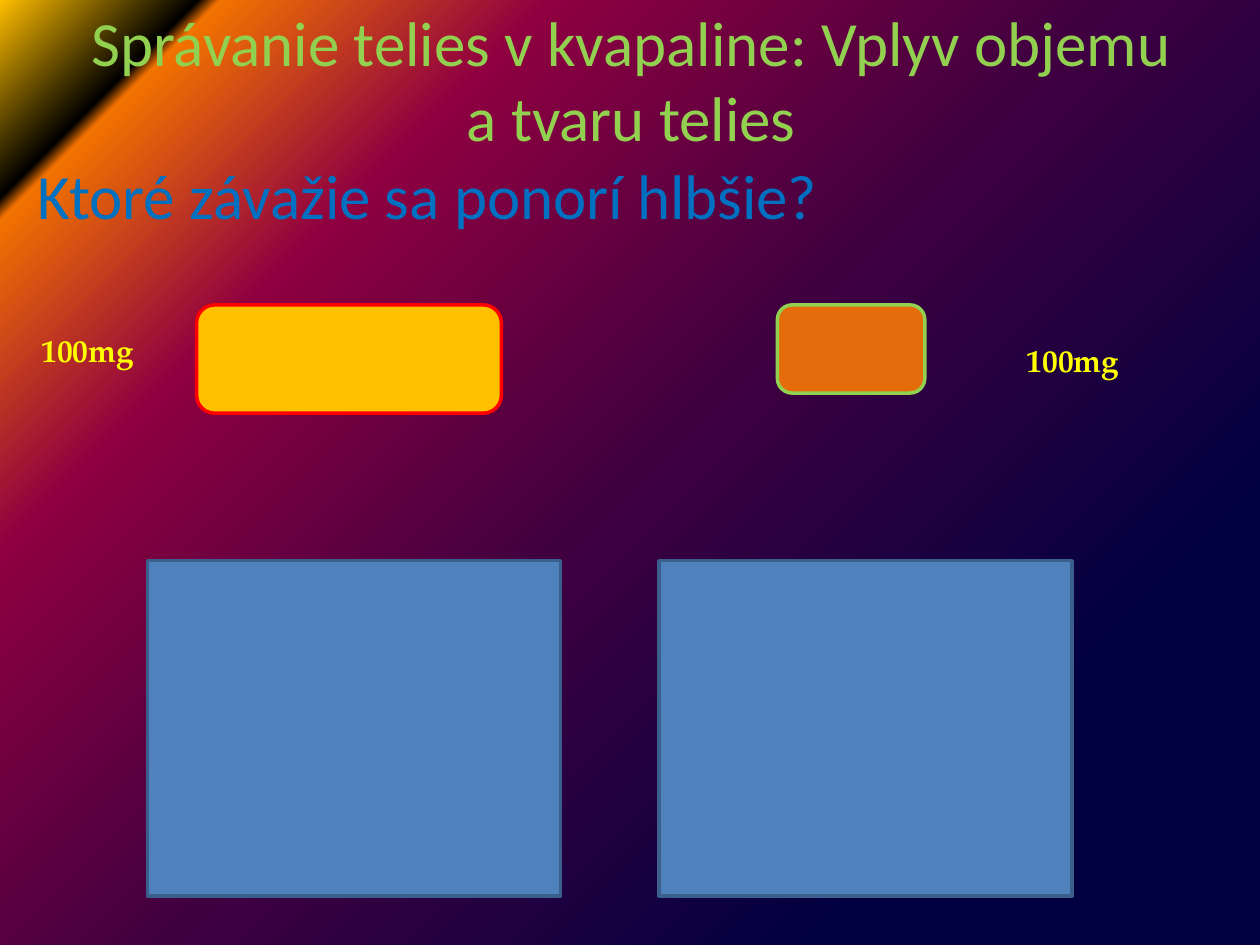
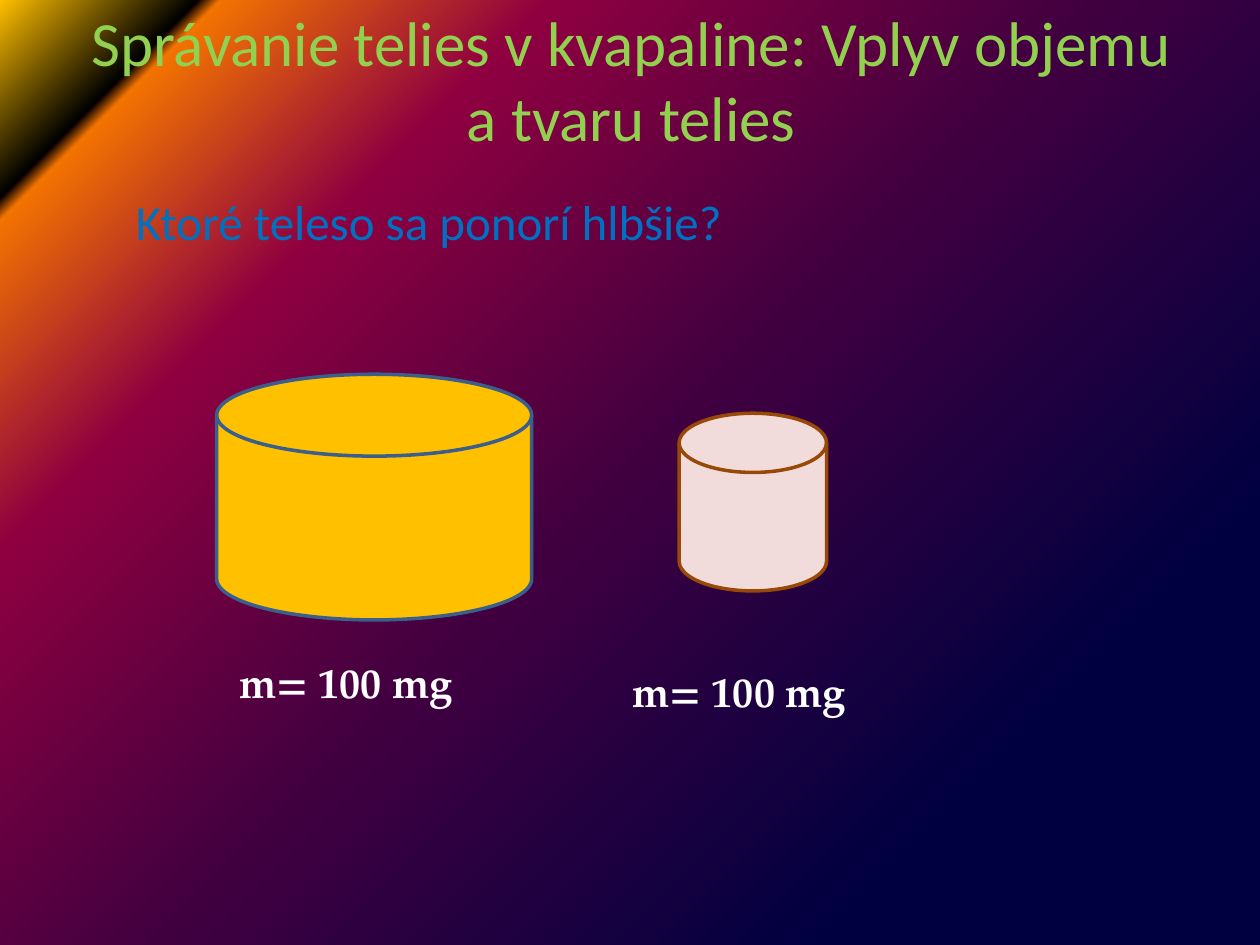
from dataclasses import dataclass

from lxml import etree
from pptx import Presentation
from pptx import util as u
from pptx.dml.color import RGBColor
from pptx.enum import shapes, text
from pptx.oxml import parse_xml
from pptx.oxml.ns import nsdecls

PX = 9144  # 100 px to the inch
COLORS = {
    "title": "92D050", "question": "0070C0", "mass": "FFFF00", "white": "FFFFFF",
    "water": "4F81BD", "edge": "3A5F8C", "gold": "FFC000", "red": "FF0000",
    "orange": "E46C0A", "green": "92D050", "pink": "F2DCDB", "brown": "984807",
}
# Position in percent, colour, opacity in percent
BACKGROUND = [(20, "000040", 100), (50, "400040", 100), (75, "8F0040", 100),
              (90, "F27300", 100), (91, "000000", 43), (100, "FFBF00", 100)]
SANS, SERIF = "Calibri", "TeX Gyre Pagella"
TITLE = "Správanie telies v kvapaline: Vplyv objemu a tvaru telies"
RECT = shapes.MSO_SHAPE.RECTANGLE
ROUND = shapes.MSO_SHAPE.ROUNDED_RECTANGLE
CYLINDER = shapes.MSO_SHAPE.FLOWCHART_MAGNETIC_DISK


@dataclass
class Body:
    kind: shapes.MSO_SHAPE
    box: tuple[int, int, int, int]
    fill: str
    line: str


@dataclass
class Label:
    words: str
    box: tuple[int, int, int, int]
    size: int
    color: str
    font: str = SERIF
    bold: bool = True
    grow: bool = True


def rgb(name: str) -> RGBColor:
    return RGBColor.from_string(COLORS[name])


def emu(box: tuple[int, int, int, int]) -> list[int]:
    return [v * PX for v in box]


def style(p, font: str, size: int, color: str, bold: bool = False) -> None:
    p.font.name, p.font.size, p.font.bold = font, u.Pt(size), bold
    p.font.color.rgb = rgb(color)


def set_background(master) -> None:
    """Radial gradient centred on the bottom right corner."""
    fill = master.background.fill
    fill.gradient()
    old = next(master.element.iter("{*}gradFill"))
    stops = "".join(
        f'<a:gs pos="{pos * 1000}"><a:srgbClr val="{color}">'
        + (f'<a:alpha val="{alpha * 1000}"/>' if alpha < 100 else "")
        + "</a:srgbClr></a:gs>"
        for pos, color, alpha in BACKGROUND)
    new = parse_xml(
        f'<a:gradFill {nsdecls("a")} rotWithShape="1"><a:gsLst>{stops}</a:gsLst>'
        '<a:path path="circle"><a:fillToRect l="100000" t="100000"/></a:path>'
        "</a:gradFill>")
    old.getparent().replace(old, new)
    etree.cleanup_namespaces(new)


def add_body(s, body: Body) -> None:
    sp = s.shapes.add_shape(body.kind, *emu(body.box))
    sp.shadow.inherit = False
    sp.fill.solid()
    sp.fill.fore_color.rgb = rgb(body.fill)
    sp.line.color.rgb = rgb(body.line)
    sp.line.width = u.Pt(2)


def add_label(s, label: Label) -> None:
    tf = s.shapes.add_textbox(*emu(label.box)).text_frame
    tf.word_wrap = True
    if label.grow:
        tf.auto_size = text.MSO_AUTO_SIZE.SHAPE_TO_FIT_TEXT
    else:
        tf.vertical_anchor = text.MSO_ANCHOR.MIDDLE
    p = tf.paragraphs[0]
    p.text = label.words
    style(p, label.font, label.size, label.color, label.bold)


def add_slide(prs, bodies: list[Body], labels: list[Label]) -> None:
    s = prs.slides.add_slide(prs.slide_layouts[5])
    title = s.shapes.title
    title.left, title.top, title.width, title.height = emu((51, 0, 900, 125))
    tf = title.text_frame
    tf.vertical_anchor = text.MSO_ANCHOR.MIDDLE
    p = tf.paragraphs[0]
    p.text = TITLE
    p.alignment = text.PP_ALIGN.CENTER
    style(p, SANS, 36, "title")
    for body in bodies:
        add_body(s, body)
    for label in labels:
        add_label(s, label)


def main() -> None:
    prs = Presentation()
    prs.slide_width, prs.slide_height = 1000 * PX, 750 * PX
    set_background(prs.slide_master)

    # Weights above two tanks
    tanks = [Body(RECT, (x, 445, 328, 266), "water", "edge") for x in (117, 523)]
    weights = [Body(ROUND, (156, 242, 242, 86), "gold", "red"),
               Body(ROUND, (617, 242, 117, 70), "orange", "green")]
    masses = [Label("100mg", (x, y, 102, 40), 18, "mass")
              for x, y in ((23, 258), (805, 266))]
    question = Label("Ktoré závažie sa ponorí hlbšie?", (20, 92, 908, 125), 36,
                     "question", SANS, bold=False, grow=False)
    add_slide(prs, tanks + weights, masses + [question])

    # Two cylinders of equal mass
    cylinders = [Body(CYLINDER, (172, 297, 250, 195), "gold", "edge"),
                 Body(CYLINDER, (539, 328, 117, 141), "pink", "brown")]
    masses = [Label("m= 100 mg", (x, y, 227, 51), 24, "white")
              for x, y in ((180, 516), (492, 523))]
    question = Label("Ktoré teleso sa ponorí hlbšie?", (98, 147, 528, 57), 28,
                     "question", SANS, bold=False)
    add_slide(prs, cylinders, masses + [question])

    prs.save("out.pptx")


if __name__ == "__main__":
    main()
